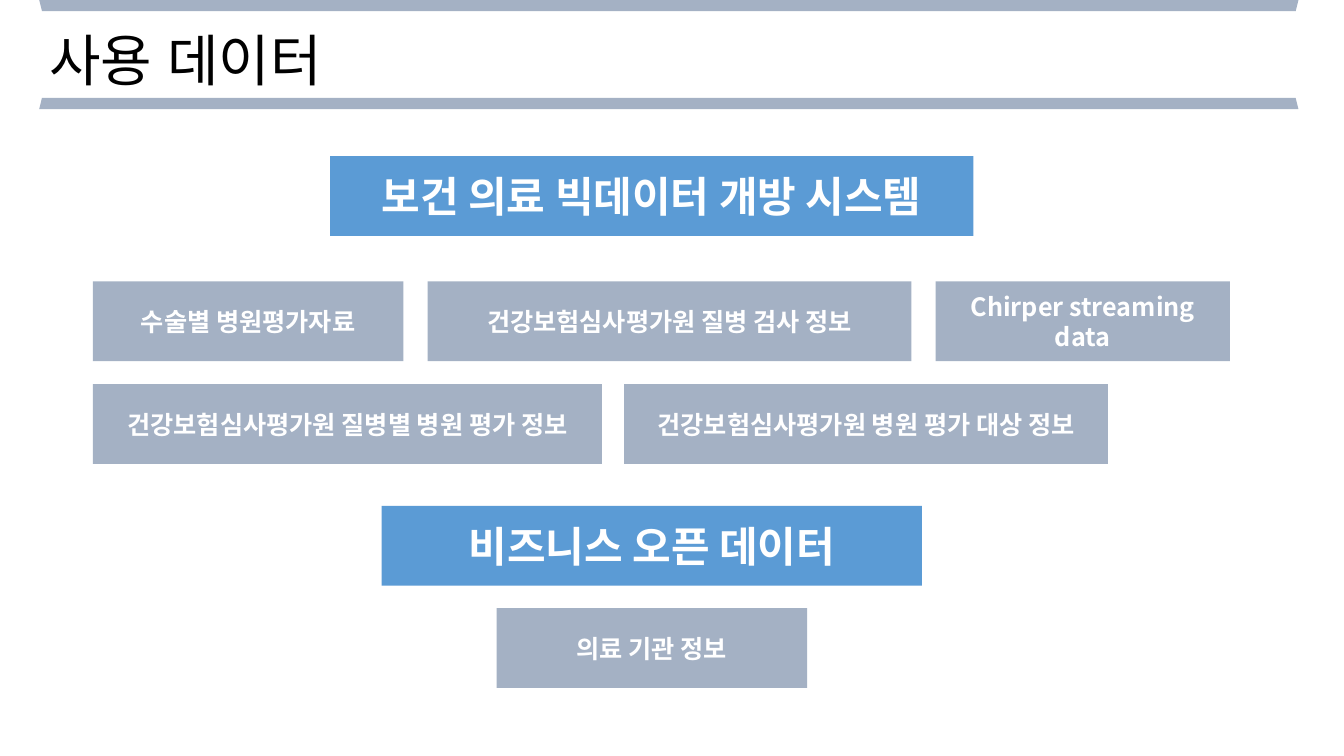
import pptx
import pptx.dml.color
import pptx.enum.shapes
import pptx.enum.text
import pptx.oxml.ns
import pptx.util
from lxml import etree

Pt = pptx.util.Pt
RGB = pptx.dml.color.RGBColor
SHAPE = pptx.enum.shapes.MSO_SHAPE
ALIGN = pptx.enum.text.PP_ALIGN
ANCHOR = pptx.enum.text.MSO_ANCHOR

GREY = RGB(0xA4, 0xB1, 0xC4)
BLUE = RGB(0x5B, 0x9B, 0xD5)
WHITE = RGB(0xFF, 0xFF, 0xFF)
BLACK = RGB(0, 0, 0)
SANS = "Noto Sans CJK KR"

BOX_H = 57
MID = 465.6  # shared centre line of the headings


def add_run(para, text, size, face, color, bold=False):
    run = para.add_run()
    run.text = text
    font = run.font
    font.size, font.bold, font.name = Pt(size), bold, face
    font.color.rgb = color
    east = etree.SubElement(font._element, pptx.oxml.ns.qn("a:ea"))
    east.set("typeface", face)


def add_block(slide, kind, box, fill):
    shape = slide.shapes.add_shape(kind, *map(Pt, box))
    shape.shadow.inherit = False
    shape.fill.solid()
    shape.fill.fore_color.rgb = fill
    shape.line.fill.background()
    return shape


def add_label(slide, box, text, fill=GREY, size=18):
    frame = add_block(slide, SHAPE.RECTANGLE, box, fill).text_frame
    frame.word_wrap = True
    frame.vertical_anchor = ANCHOR.MIDDLE
    para = frame.paragraphs[0]
    para.alignment = ALIGN.CENTER
    add_run(para, text, size, SANS, WHITE, True)


def add_header(slide, left, top, width, text):
    """Place the title between two trapezoid bars."""
    bar, drop = 8, 70
    upper = add_block(slide, SHAPE.TRAPEZOID, (left, top, width, bar), GREY)
    upper.rotation = 180
    add_block(slide, SHAPE.TRAPEZOID, (left, top + drop, width, bar), GREY)
    title = slide.shapes.add_textbox(*map(Pt, (left, top + 15, 230, 55.5)))
    frame = title.text_frame
    frame.word_wrap = False
    frame.auto_size = pptx.enum.text.MSO_AUTO_SIZE.SHAPE_TO_FIT_TEXT
    add_run(frame.paragraphs[0], text, 40, "Arial", BLACK)


def add_centred(slide, top, width, text, **style):
    add_label(slide, (MID - width / 2, top, width, BOX_H), text, **style)


def add_row(slide, left, top, gap, items):
    for width, text in items:
        add_label(slide, (left, top, width, BOX_H), text)
        left += width + gap


def main():
    deck = pptx.Presentation()
    deck.slide_width, deck.slide_height = Pt(960), Pt(540)
    slide = deck.slides.add_slide(deck.slide_layouts[6])

    add_header(slide, 28, 0, 899.5, "사용 데이터")

    head = {"fill": BLUE, "size": 30}
    add_centred(slide, 111.5, 459.5, "보건 의료 빅데이터 개방 시스템", **head)
    add_row(slide, 66.3, 201, 17.3, [
        (221.8, "수술별 병원평가자료"),
        (345.6, "건강보험심사평가원 질병 검사 정보"),
        (210.2, "Chirper streaming data"),
    ])
    add_row(slide, 66.3, 274.3, 16, [
        (363.6, "건강보험심사평가원 질병별 병원 평가 정보"),
        (345.6, "건강보험심사평가원 병원 평가 대상 정보"),
    ])

    add_centred(slide, 361.3, 386, "비즈니스 오픈 데이터", **head)
    add_centred(slide, 434.3, 221.8, "의료 기관 정보")

    deck.save("out.pptx")


if __name__ == "__main__":
    main()
